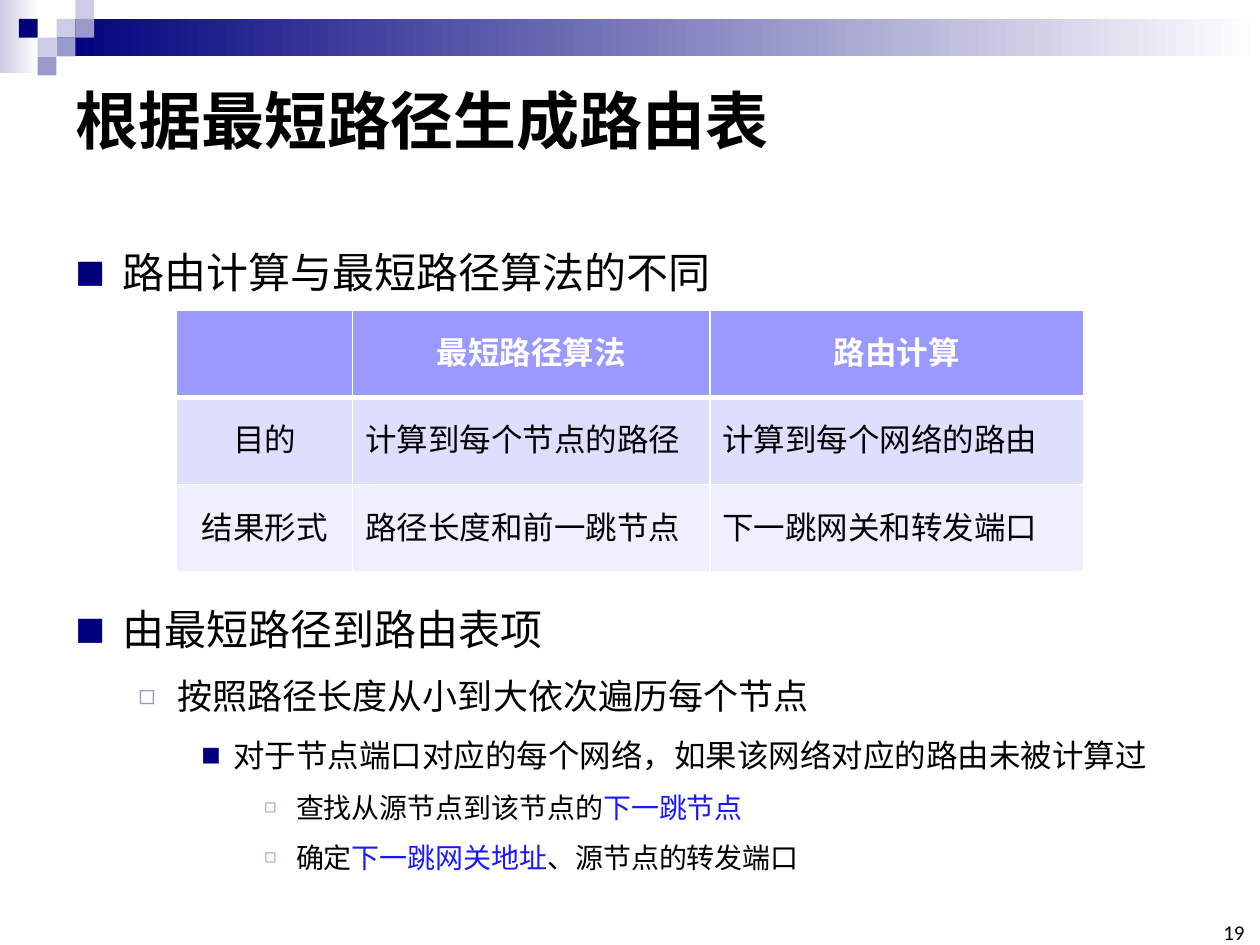
from dataclasses import dataclass

from lxml.etree import SubElement
from pptx import Presentation
from pptx.dml.color import RGBColor
from pptx.enum.shapes import MSO_SHAPE as Shape
from pptx.enum.text import MSO_ANCHOR as Anchor, PP_ALIGN as Align
from pptx.oxml.ns import qn
from pptx.util import Cm, Pt

FONT = "Calibri"
BLACK, WHITE, BLUE = "000000", "FFFFFF", "1818FF"
NAVY, LILAC, PALE = "00007D", "9999CC", "CCCCE6"
UNIT = 0.38  # side of a mosaic square, cm


@dataclass(frozen=True)
class Box:
    left: float
    top: float
    width: float
    height: float

    def lengths(self) -> tuple:
        return Cm(self.left), Cm(self.top), Cm(self.width), Cm(self.height)


@dataclass(frozen=True)
class Level:
    size: int
    margin: float
    hanging: float
    bullet: str
    bullet_color: str
    bullet_percent: int


@dataclass(frozen=True)
class Item:
    level: int
    phrases: tuple  # (wording, colour) pairs


@dataclass(frozen=True)
class Row:
    height: float
    fill: str
    color: str
    bold: bool
    bottom_line: int
    texts: tuple


LEVELS = (
    Level(24, 0.95, 0.95, "■", NAVY, 75),
    Level(20, 2.06, 0.79, "◻", LILAC, 80),
    Level(18, 3.18, 0.64, "■", NAVY, 65),
    Level(16, 4.45, 0.64, "◻", LILAC, 70),
)

DIFFERENCE = (Item(0, (("路由计算与最短路径算法的不同", BLACK),)),)
PROCEDURE = (
    Item(0, (("由最短路径到路由表项", BLACK),)),
    Item(1, (("按照路径长度从小到大依次遍历每个节点", BLACK),)),
    Item(2, (("对于节点端口对应的每个网络，如果该网络对应的路由未被计算过", BLACK),)),
    Item(3, (("查找从源节点到该节点的", BLACK), ("下一跳节点", BLUE))),
    Item(3, (("确定", BLACK), ("下一跳网关地址", BLUE), ("、源节点的转发端口", BLACK))),
)

COLUMN_WIDTHS = (3.55, 7.2, 7.54)
ROWS = (
    Row(1.76, "9999FF", WHITE, True, 3, ("", "最短路径算法", "路由计算")),
    Row(1.76, "DEDEFF", BLACK, False, 1, ("目的", "计算到每个节点的路径", "计算到每个网络的路由")),
    Row(1.76, "EFEFFF", BLACK, False, 1, ("结果形式", "路径长度和前一跳节点", "下一跳网关和转发端口")),
)

# (column, row, colour) on the mosaic grid
MOSAIC = (
    (3, 1, PALE), (4, 0, PALE), (4, 1, LILAC), (2, 2, PALE),
    (1, 1, NAVY), (3, 2, LILAC), (2, 3, LILAC),
)


def rgb(value: str) -> RGBColor:
    return RGBColor.from_string(value)


def format_run(run, size: int, color: str, bold: bool = False) -> None:
    run.font.size, run.font.bold, run.font.name = Pt(size), bold, FONT
    run.font.color.rgb = rgb(color)
    SubElement(run._r.get_or_add_rPr(), qn("a:ea"), typeface=FONT)


def add_block(slide, box: Box, *colors: str) -> None:
    """Draw a borderless rectangle, solid or with a left-to-right gradient."""
    block = slide.shapes.add_shape(Shape.RECTANGLE, *box.lengths())
    block.shadow.inherit = False
    block.line.fill.background()
    if len(colors) == 1:
        block.fill.solid()
        block.fill.fore_color.rgb = rgb(colors[0])
    else:
        block.fill.gradient()
        block.fill.gradient_angle = 0
        for stop, color in zip(block.fill.gradient_stops, colors):
            stop.color.rgb = rgb(color)


def add_text_frame(slide, box: Box):
    frame = slide.shapes.add_textbox(*box.lengths()).text_frame
    frame.word_wrap = True
    return frame


def add_label(slide, box: Box, text: str, size: int, bold: bool = False):
    frame = add_text_frame(slide, box)
    frame.text = text
    format_run(frame.paragraphs[0].runs[0], size, BLACK, bold)
    return frame


def set_bullet(paragraph, level: Level) -> None:
    props = paragraph._p.get_or_add_pPr()
    props.set("marL", str(Cm(level.margin)))
    props.set("indent", str(-Cm(level.hanging)))
    SubElement(SubElement(props, qn("a:buClr")), qn("a:srgbClr"), val=level.bullet_color)
    SubElement(props, qn("a:buSzPct"), val=str(level.bullet_percent * 1000))
    SubElement(props, qn("a:buFont"), typeface=FONT)
    SubElement(props, qn("a:buChar"), char=level.bullet)


def add_outline(slide, box: Box, items: tuple) -> None:
    frame = add_text_frame(slide, box)
    for index, item in enumerate(items):
        paragraph = frame.add_paragraph() if index else frame.paragraphs[0]
        level = LEVELS[item.level]
        paragraph.level = item.level
        paragraph.line_spacing = 1.5
        paragraph.space_before = Pt(0)
        set_bullet(paragraph, level)
        for wording, color in item.phrases:
            run = paragraph.add_run()
            run.text = wording
            format_run(run, level.size, color)


def set_borders(cell, top: int, bottom: int) -> None:
    props = cell._tc.get_or_add_tcPr()
    for side, points in (("L", 1), ("R", 1), ("T", top), ("B", bottom)):
        line = SubElement(props, qn(f"a:ln{side}"), w=str(Pt(points)))
        SubElement(SubElement(line, qn("a:solidFill")), qn("a:srgbClr"), val=WHITE)


def add_comparison(slide, box: Box) -> None:
    table = slide.shapes.add_table(len(ROWS), len(COLUMN_WIDTHS), *box.lengths()).table
    for column, width in zip(table.columns, COLUMN_WIDTHS):
        column.width = Cm(width)
    top_line = 1
    for row_index, row in enumerate(ROWS):
        table.rows[row_index].height = Cm(row.height)
        for column_index, text in enumerate(row.texts):
            cell = table.cell(row_index, column_index)
            set_borders(cell, top_line, row.bottom_line)
            cell.fill.solid()
            cell.fill.fore_color.rgb = rgb(row.fill)
            cell.vertical_anchor = Anchor.MIDDLE
            cell.text = text
            paragraph = cell.text_frame.paragraphs[0]
            centred = row_index == 0 or column_index == 0
            paragraph.alignment = Align.CENTER if centred else Align.LEFT
            for run in paragraph.runs:
                format_run(run, 18, row.color, row.bold)
        top_line = row.bottom_line


def main() -> None:
    deck = Presentation()
    deck.slide_width, deck.slide_height = Cm(25.4), Cm(19.05)
    slide = deck.slides.add_slide(deck.slide_layouts[6])

    add_block(slide, Box(0, 0, 0.79, 1.47), PALE, WHITE)
    add_block(slide, Box(3 * UNIT, UNIT, 25.4 - 3 * UNIT, 2 * UNIT), NAVY, WHITE)
    for column, row, color in MOSAIC:
        add_block(slide, Box(column * UNIT, row * UNIT, UNIT, UNIT), color)

    title = add_label(slide, Box(1.27, 1.27, 22.86, 2.26), "根据最短路径生成路由表", 36, True)
    title.vertical_anchor = Anchor.MIDDLE

    add_outline(slide, Box(1.27, 4.34, 22.86, 2.01), DIFFERENCE)
    add_comparison(slide, Box(3.56, 6.25, sum(COLUMN_WIDTHS), sum(row.height for row in ROWS)))
    add_outline(slide, Box(1.27, 11.53, 22.86, 6.53), PROCEDURE)

    number = add_label(slide, Box(24.51, 18.62, 0.58, 0.43), "19", 12)
    number.margin_left = number.margin_right = number.margin_top = number.margin_bottom = 0
    number.vertical_anchor = Anchor.BOTTOM
    number.paragraphs[0].alignment = Align.RIGHT

    deck.save("out.pptx")


if __name__ == "__main__":
    main()
